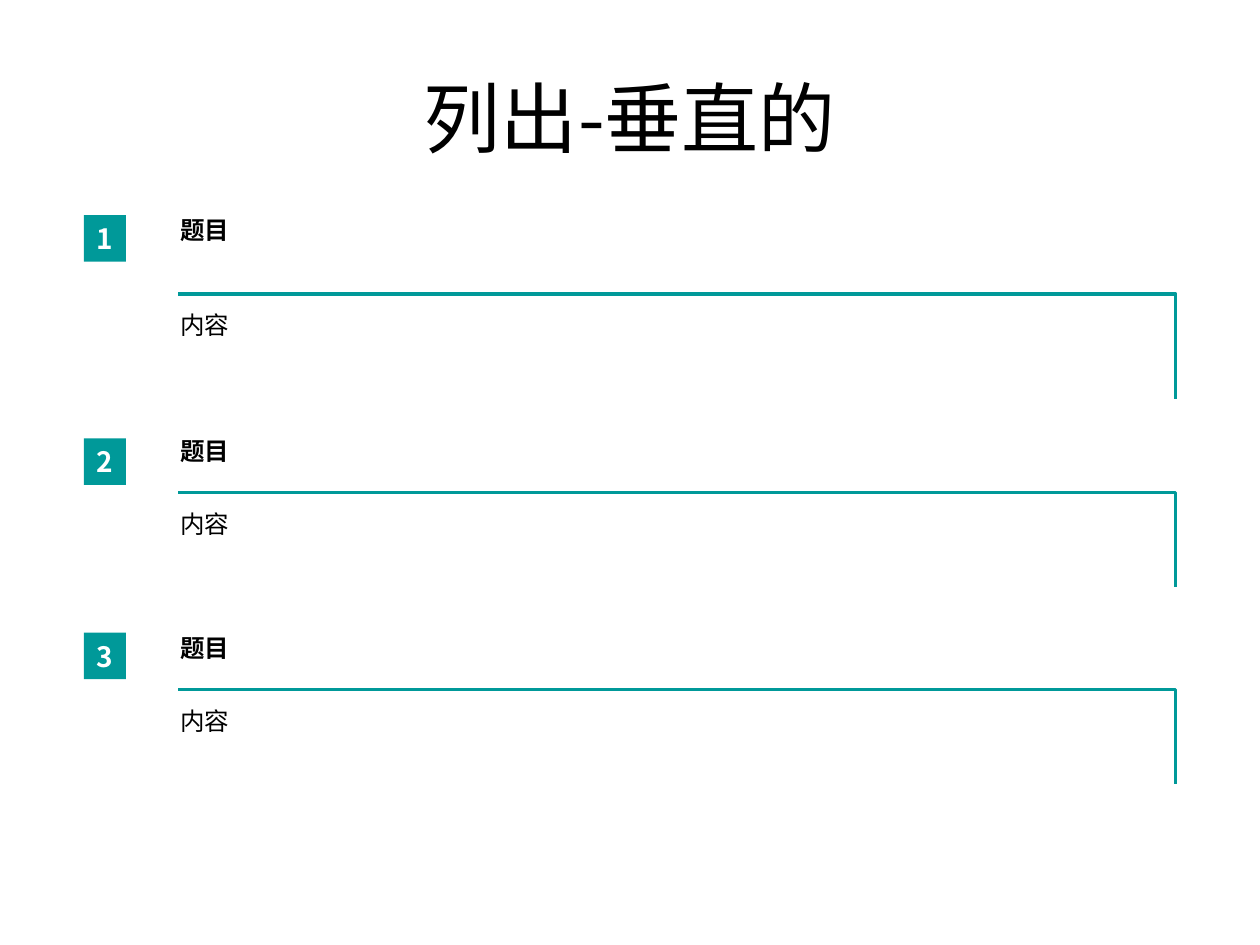
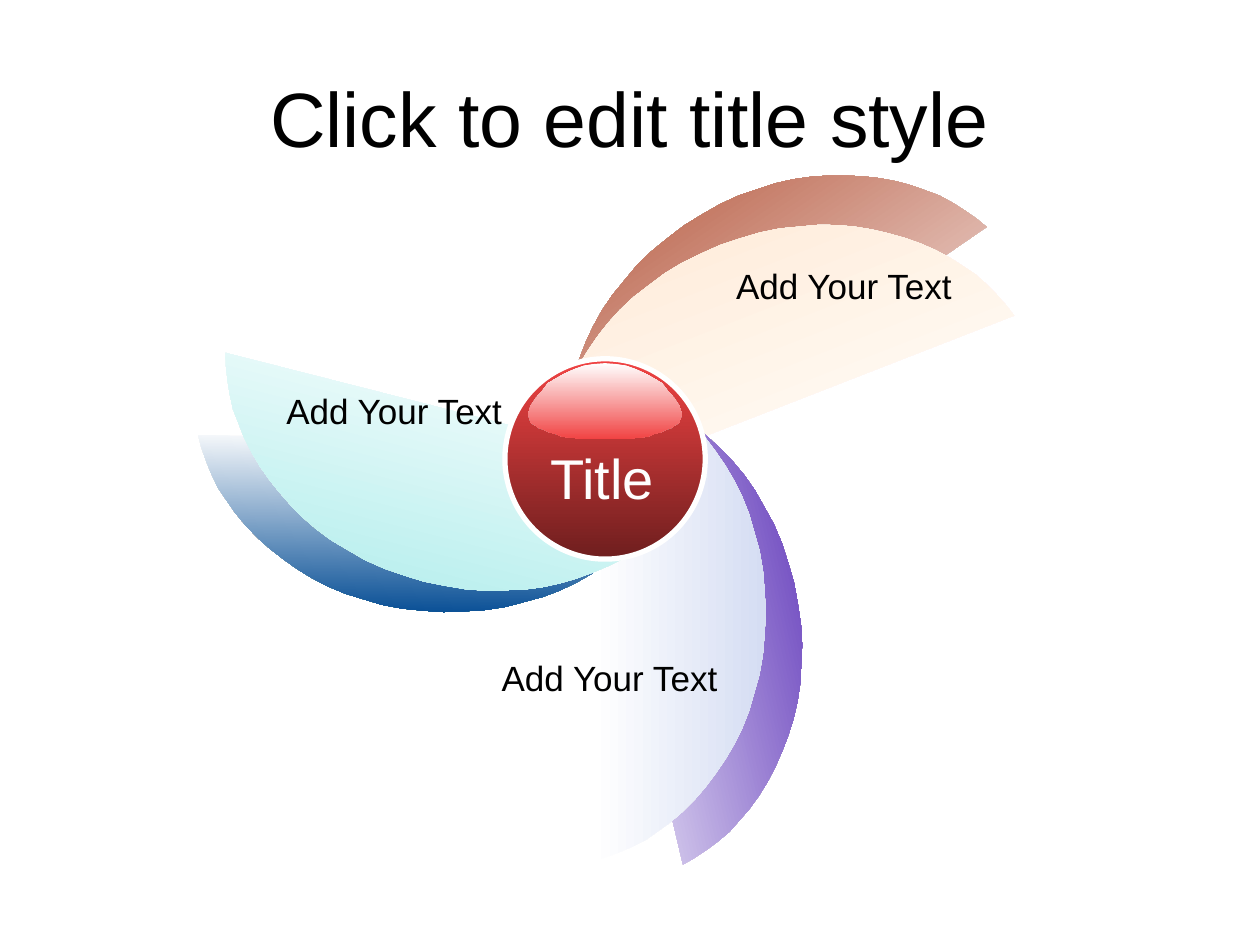
"""Build a numbered vertical list slide and a three-petal diagram slide."""
import dataclasses

import lxml.etree
import pptx
import pptx.dml.color
import pptx.enum.shapes
import pptx.enum.text
import pptx.oxml.ns
import pptx.util

Pt = pptx.util.Pt
ALIGN = pptx.enum.text.PP_ALIGN


@dataclasses.dataclass(frozen=True)
class Theme:
    ink: str = "000000"
    paper: str = "FFFFFF"
    teal: str = "009999"
    hub_text: str = "FEFEFE"
    red: str = "F14343"
    maroon: str = "6E1E1E"
    rust: str = "A43010"
    cream: str = "FFE6CD"
    purple: str = "4516AE"
    navy: str = "004992"
    lavender: str = "D5DDF3"
    aqua: str = "A2EAE8"
    latin: str = "Arial"
    chinese: str = "Noto Sans CJK SC"
    title_size: int = 44
    hub_size: int = 32
    label_size: int = 20
    badge_size: int = 16
    body_size: int = 14


THEME = Theme()

LIST_ROWS = [
    ("1", 119.5, 123, 168, 60),
    ("2", 245.5, 250.5, 281.5, 54),
    ("3", 358, 361.5, 394, 54),
]

PETAL_HEIGHT = 284
PETAL_UPPER_EDGE = [
    (0, 0), (7, 2), (15, 5), (22, 8), (30, 12), (37, 17), (44, 22),
    (51, 28), (58, 35), (64, 42), (70, 50), (75.5, 58), (80.5, 66.5),
    (85, 75.5), (89, 85.5), (92, 96), (95, 106.5), (97, 118), (98, 130),
    (98.6, 142),
]
PETAL_EDGE = PETAL_UPPER_EDGE + [
    (x, PETAL_HEIGHT - y) for x, y in reversed(PETAL_UPPER_EDGE[:-1])
]
PETALS = [
    (369.5, 27.5, 235.5, THEME.rust),
    (380, 44, 248.7, THEME.cream),
    (356.5, 202.5, 346.8, THEME.purple),
    (205, 158.5, 91, THEME.navy),
    (339, 208, 0, THEME.lavender),
    (205, 142.5, 104.3, THEME.aqua),
]

GLOSS_RIGHT_EDGE = [
    (0, 0), (6, 0.5), (12, 1.5), (17.5, 3.5), (23, 6), (27.5, 8.5),
    (32.5, 11.5), (36, 16), (39.5, 20), (42.5, 24.5), (44, 29.5),
    (43, 32), (42.5, 34), (40, 35.5), (38, 37), (35, 38), (32, 39.5),
    (28, 40.5), (24.5, 42), (20, 42.5), (15, 43), (9, 43.5),
]
GLOSS_EDGE = GLOSS_RIGHT_EDGE + [
    (-x, y) for x, y in reversed(GLOSS_RIGHT_EDGE[1:])
]

LABELS = [
    (152, 219, 142, ALIGN.RIGHT),
    (413.5, 147.5, 142, ALIGN.LEFT),
    (274.5, 371.5, 142.5, ALIGN.RIGHT),
]


def rgb(value):
    """Turn a hex string into a colour."""
    return pptx.dml.color.RGBColor.from_string(value)


class Deck:
    """Hold the theme and the current slide, and draw elements on it."""

    def __init__(self, theme):
        """Start an empty 10 by 7.5 inch presentation."""
        self.theme = theme
        self.presentation = pptx.Presentation()
        self.presentation.slide_width = Pt(720)
        self.presentation.slide_height = Pt(540)
        self.slide = None

    def set_text(self, frame, text, size, font, color=None, bold=False,
                 align=ALIGN.LEFT):
        """Set one paragraph of text and format it."""
        frame.text = text
        paragraph = frame.paragraphs[0]
        paragraph.alignment = align
        run = paragraph.runs[0]
        run.font.size = Pt(size)
        run.font.name = font
        run.font.bold = bold
        run.font.color.rgb = rgb(color or self.theme.ink)
        east_asian = lxml.etree.SubElement(
            run._r.get_or_add_rPr(), pptx.oxml.ns.qn("a:ea"))
        east_asian.set("typeface", font)

    def add_slide(self, title, font):
        """Add a title-only slide and place its title."""
        layout = self.presentation.slide_layouts[5]
        self.slide = self.presentation.slides.add_slide(layout)
        heading = self.slide.shapes.title
        heading.left, heading.top = Pt(36), Pt(21.6)
        heading.width, heading.height = Pt(648), Pt(90)
        heading.text_frame.vertical_anchor = pptx.enum.text.MSO_ANCHOR.MIDDLE
        self.set_text(heading.text_frame, title, self.theme.title_size, font,
                      align=ALIGN.CENTER)

    def text(self, left, top, width, height, text, size, font, wrap=True,
             **style):
        """Add a text box that grows with its text."""
        box = self.slide.shapes.add_textbox(
            Pt(left), Pt(top), Pt(width), Pt(height))
        frame = box.text_frame
        frame.word_wrap = wrap
        frame.auto_size = pptx.enum.text.MSO_AUTO_SIZE.SHAPE_TO_FIT_TEXT
        self.set_text(frame, text, size, font, **style)

    def shape(self, kind, left, top, width, height):
        """Add a preset shape without shadow or outline."""
        shape = self.slide.shapes.add_shape(
            kind, Pt(left), Pt(top), Pt(width), Pt(height))
        shape.shadow.inherit = False
        shape.line.fill.background()
        return shape

    def outline(self, left, top, points, close=True):
        """Add a freeform from points relative to left and top."""
        places = [(Pt(left + x), Pt(top + y)) for x, y in points]
        builder = self.slide.shapes.build_freeform(*places[0])
        builder.add_line_segments(places[1:], close=close)
        shape = builder.convert_to_shape()
        shape.shadow.inherit = False
        shape.line.fill.background()
        return shape

    def gradient(self, shape, start, end, angle=0):
        """Fill a shape with a two-colour linear gradient."""
        shape.fill.gradient()
        shape.fill.gradient_angle = angle
        for stop, color in zip(shape.fill.gradient_stops, (start, end)):
            stop.color.rgb = rgb(color)

    def badge(self, left, top, number):
        """Add a filled number tile."""
        tile = self.shape(pptx.enum.shapes.MSO_SHAPE.RECTANGLE,
                          left, top, 24, 26.6)
        tile.fill.solid()
        tile.fill.fore_color.rgb = rgb(self.theme.teal)
        frame = tile.text_frame
        frame.margin_left = frame.margin_right = 0
        frame.margin_top = frame.margin_bottom = 0
        frame.vertical_anchor = pptx.enum.text.MSO_ANCHOR.MIDDLE
        self.set_text(frame, number, self.theme.badge_size,
                      self.theme.chinese, color=self.theme.paper, bold=True,
                      align=ALIGN.CENTER)

    def corner_rule(self, left, top, width, drop):
        """Add a rule that turns down at its right end."""
        rule = self.outline(left, top, [(0, 0), (width, 0), (width, drop)],
                            close=False)
        rule.fill.background()
        rule.line.color.rgb = rgb(self.theme.teal)
        rule.line.width = Pt(1.75)

    def petal(self, left, top, rotation, color):
        """Add a petal fading from white to a colour."""
        petal = self.outline(left, top, PETAL_EDGE)
        self.gradient(petal, self.theme.paper, color)
        petal.rotation = rotation

    def hub(self, left, top, diameter):
        """Add the glossy ball in the middle of the petals."""
        ball = self.shape(pptx.enum.shapes.MSO_SHAPE.OVAL,
                          left, top, diameter, diameter)
        self.gradient(ball, self.theme.red, self.theme.maroon, 270)
        ball.line.color.rgb = rgb(self.theme.paper)
        ball.line.width = Pt(3)
        gloss = self.outline(left + diameter / 2, top + 2.5, GLOSS_EDGE)
        self.gradient(gloss, self.theme.paper, self.theme.red, 270)


def build_list(deck):
    """Draw the numbered vertical list."""
    theme = deck.theme
    deck.add_slide("列出-垂直的", theme.chinese)
    for number, heading_top, badge_top, rule_top, drop in LIST_ROWS:
        deck.badge(48, badge_top, number)
        deck.text(96, heading_top, 576, 24, "题目", theme.body_size,
                  theme.chinese, bold=True)
        deck.corner_rule(102, rule_top, 570, drop)
        deck.text(96, rule_top + 5.8, 576, 24, "内容", theme.body_size,
                  theme.chinese)


def build_petals(deck):
    """Draw the three pairs of petals around the hub."""
    theme = deck.theme
    deck.add_slide("Click to edit title style", theme.latin)
    for petal in PETALS:
        deck.petal(*petal)
    deck.hub(288.5, 205, 114.5)
    deck.text(306.5, 250, 75, 45.5, "Title", theme.hub_size, theme.latin,
              wrap=False, color=theme.hub_text, align=ALIGN.CENTER)
    for left, top, width, align in LABELS:
        deck.text(left, top, width, 31, "Add Your Text", theme.label_size,
                  theme.latin, wrap=False, align=align)


def main():
    """Build both slides and save them."""
    deck = Deck(THEME)
    build_list(deck)
    build_petals(deck)
    deck.presentation.save("out.pptx")


if __name__ == "__main__":
    main()
